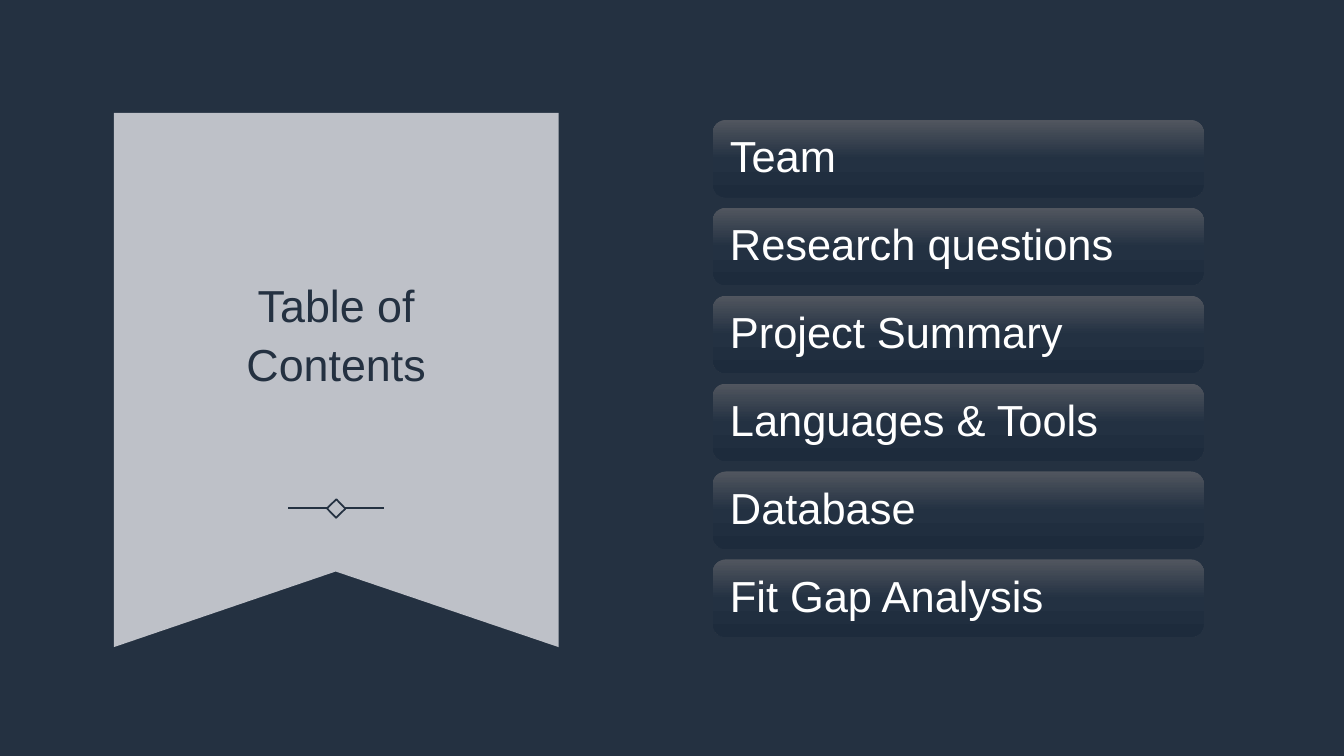
from copy import deepcopy

from lxml import etree
from pptx import Presentation
from pptx.dml.color import RGBColor
from pptx.enum import shapes, text
from pptx.oxml.ns import qn
from pptx.util import Inches, Pt

NAVY = RGBColor(0x24, 0x31, 0x41)
SILVER = RGBColor(0xE2, 0xE3, 0xE8)
WHITE = RGBColor(0xFF, 0xFF, 0xFF)
BAR_STOPS = [
    (0, RGBColor(0x51, 0x56, 0x5F)),
    (0.5, RGBColor(0x23, 0x31, 0x42)),
    (1, RGBColor(0x1D, 0x2B, 0x3C)),
]

TOPICS = ["Team", "Research questions", "Project Summary",
          "Languages & Tools", "Database", "Fit Gap Analysis"]
BAR_LEFT, BAR_TOP, BAR_WIDTH, BAR_HEIGHT = 7.07, 1.19, 4.87, 0.77
BAR_PITCH = 0.872
LABEL_MARGIN = 0.04


class SlideBuilder:
    font = "Arial"
    line_width = Pt(1.25)

    def __init__(self, slide):
        self.shapes = slide.shapes

    def shape(self, kind, left, top, width, height, fill=None):
        sp = self.shapes.add_shape(
            kind, Inches(left), Inches(top), Inches(width), Inches(height))
        sp.shadow.inherit = False
        sp.line.fill.background()
        if fill is None:
            sp.fill.background()
        else:
            sp.fill.solid()
            sp.fill.fore_color.rgb = fill
        return sp

    def ribbon(self, points, color, opacity):
        """Draw a closed, partly transparent outline."""
        corners = [(Inches(x), Inches(y)) for x, y in points]
        builder = self.shapes.build_freeform(*corners[0])
        builder.add_line_segments(corners[1:], close=True)
        sp = builder.convert_to_shape()
        sp.shadow.inherit = False
        sp.line.fill.background()
        sp.fill.solid()
        sp.fill.fore_color.rgb = color
        clr = sp._element.spPr.find(qn("a:solidFill"))[0]
        etree.SubElement(clr, qn("a:alpha")).set("val", str(opacity * 1000))

    def label(self, words, left, top, width, height, size, color,
              align, spacing, inset=None):
        box = self.shapes.add_textbox(
            Inches(left), Inches(top), Inches(width), Inches(height))
        tf = box.text_frame
        tf.word_wrap = True
        tf.vertical_anchor = text.MSO_ANCHOR.MIDDLE
        if inset is not None:
            tf.margin_left = tf.margin_right = Inches(inset)
            tf.margin_top = tf.margin_bottom = Inches(inset)
        p = tf.paragraphs[0]
        p.text = words
        p.alignment = align
        p.line_spacing = spacing
        p.font.name = self.font
        p.font.size = Pt(size)
        p.font.color.rgb = color

    def outline(self, line, color):
        line.color.rgb = color
        line.width = self.line_width

    def diamond(self, left, top, side, color):
        sp = self.shape(shapes.MSO_SHAPE.RECTANGLE, left, top, side, side)
        sp.rotation = 316
        self.outline(sp.line, color)

    def rule(self, x1, x2, y, color):
        line = self.shapes.add_connector(
            shapes.MSO_CONNECTOR.STRAIGHT,
            Inches(x1), Inches(y), Inches(x2), Inches(y))
        self.outline(line.line, color)
        etree.SubElement(line._element.spPr, qn("a:effectLst"))

    def bar(self, left, top, width, height):
        """Draw a rounded bar shaded from top to bottom."""
        sp = self.shape(shapes.MSO_SHAPE.ROUNDED_RECTANGLE,
                        left, top, width, height)
        sp.fill.gradient()
        sp.fill.gradient_angle = 270
        stops = sp._element.spPr.find(qn("a:gradFill")).find(qn("a:gsLst"))
        stops.append(deepcopy(stops[-1]))
        for stop, (position, color) in zip(sp.fill.gradient_stops, BAR_STOPS):
            stop.position = position
            stop.color.rgb = color


def main():
    prs = Presentation()
    prs.slide_width, prs.slide_height = Inches(13.33), Inches(7.5)
    s = SlideBuilder(prs.slides.add_slide(prs.slide_layouts[6]))

    s.shape(shapes.MSO_SHAPE.RECTANGLE, 0, 0, 13.33, 7.5, NAVY)
    s.ribbon([(1.13, 1.12), (5.54, 1.12), (5.54, 6.42),
              (3.33, 5.67), (1.13, 6.42)], SILVER, 81)
    s.label("Table of Contents", 1.56, 1.86, 3.55, 2.85, 32, NAVY,
            text.PP_ALIGN.CENTER, 1.1)

    s.diamond(3.27, 4.98, 0.13, NAVY)
    for x1, x2 in [(3.42, 3.81), (2.86, 3.24)]:
        s.rule(x1, x2, 5.04, NAVY)

    for i, topic in enumerate(TOPICS):
        top = BAR_TOP + i * BAR_PITCH
        s.bar(BAR_LEFT, top, BAR_WIDTH, BAR_HEIGHT)
        s.label(topic, BAR_LEFT + LABEL_MARGIN, top + LABEL_MARGIN,
                BAR_WIDTH - 2 * LABEL_MARGIN, BAR_HEIGHT - 2 * LABEL_MARGIN,
                31, WHITE, text.PP_ALIGN.LEFT, 0.9, inset=0.13)

    prs.save("out.pptx")


if __name__ == "__main__":
    main()
